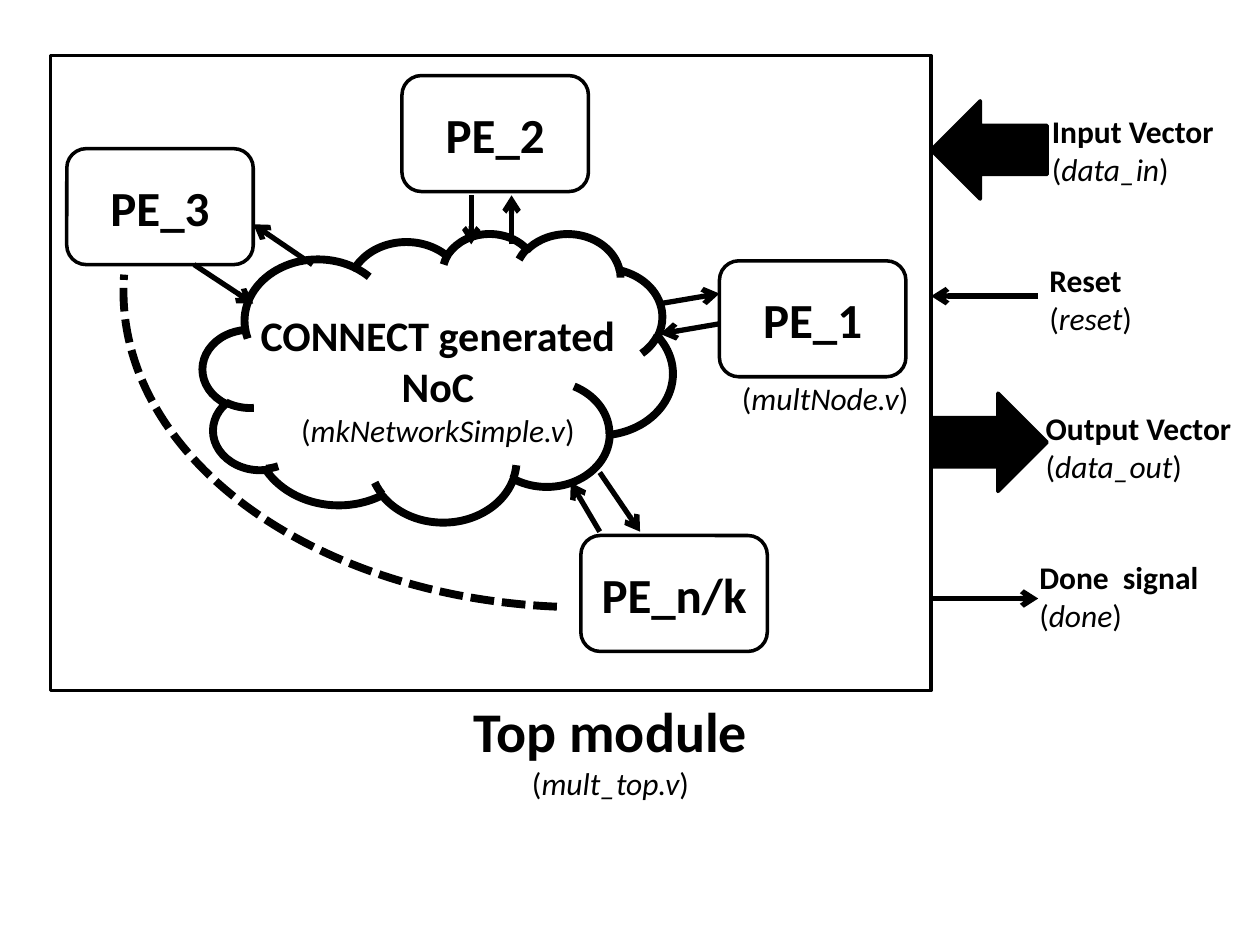
from dataclasses import dataclass

from lxml.etree import SubElement
from pptx import Presentation
from pptx.dml.color import RGBColor
from pptx.enum.dml import MSO_LINE
from pptx.enum.shapes import MSO_CONNECTOR, MSO_SHAPE
from pptx.enum.text import MSO_ANCHOR, MSO_AUTO_SIZE, PP_ALIGN
from pptx.oxml.ns import qn
from pptx.util import Emu, Inches, Pt

COLORS = {"ink": "000000"}
INK = RGBColor.from_string(COLORS["ink"])
FONT = "Calibri"
CELL = Inches(1)  # the slide is a grid of 10 columns by 7.5 rows
COLUMNS, ROWS = 10, 7.5
FRAME_RIGHT = 7.39
PORT_RIGHT = 8.24
LABEL_TOP, LABEL_PITCH = 0.84, 1.18


@dataclass(frozen=True)
class Area:
    column: float
    row: float
    columns: float
    rows: float

    def lengths(self) -> list[Emu]:
        return [cells(n) for n in (self.column, self.row, self.columns, self.rows)]


@dataclass(frozen=True)
class Node:
    name: str
    column: float
    row: float


@dataclass(frozen=True)
class Arrow:
    start: tuple[float, float]
    end: tuple[float, float]


@dataclass(frozen=True)
class Label:
    titles: tuple[str, ...]
    file: str
    area: Area
    size: int = 18
    align: PP_ALIGN = PP_ALIGN.LEFT


@dataclass(frozen=True)
class Port:
    title: str
    signal: str
    column: float
    columns: float


NODES = [
    Node("PE_1", 5.71, 2.07),
    Node("PE_2", 3.19, 0.6),
    Node("PE_3", 0.53, 1.18),
    Node("PE_n/k", 4.61, 4.25),
]
PORTS = [
    Port("Input Vector", "data_in", 8.25, 1.5),
    Port("Reset", "reset", 8.23, 0.87),
    Port("Output Vector", "data_out", 8.2, 1.69),
    Port("Done  signal", "done", 8.15, 1.47),
]
PORT_ARROWS = [
    Arrow((PORT_RIGHT, 2.35), (FRAME_RIGHT, 2.35)),
    Arrow((FRAME_RIGHT, 4.75), (PORT_RIGHT, 4.75)),
]
NODE_ARROWS = [
    Arrow((5.24, 2.41), (5.71, 2.33)),
    Arrow((5.71, 2.57), (5.24, 2.65)),
    Arrow((3.74, 1.55), (3.74, 1.94)),
    Arrow((4.06, 1.94), (4.06, 1.55)),
    Arrow((1.54, 2.1), (2.01, 2.41)),
    Arrow((2.48, 2.1), (2.01, 1.78)),
    Arrow((4.76, 4.22), (4.53, 3.83)),
    Arrow((4.76, 3.75), (5.08, 4.22)),
]
LABELS = [
    *(
        Label((port.title,), port.signal,
              Area(port.column, LABEL_TOP + i * LABEL_PITCH, port.columns, 0.71))
        for i, port in enumerate(PORTS)
    ),
    Label(("Top module",), "mult_top.v", Area(3.65, 5.48, 2.39, 0.94), 32, PP_ALIGN.CENTER),
    Label((), "multNode.v", Area(5.79, 2.96, 1.56, 0.4)),
    Label(("CONNECT generated", "NoC"), "mkNetworkSimple.v",
          Area(1.95, 2.41, 3.05, 1.21), 24, PP_ALIGN.CENTER),
]


def cells(count: float) -> Emu:
    return Emu(round(count * CELL))


def add_span(para, text: str, size: int, bold: bool = False, italic: bool = False) -> None:
    span = para.add_run()
    span.text = text
    font = span.font
    font.name, font.size, font.bold, font.italic = FONT, Pt(size), bold, italic
    font.color.rgb = INK


def add_outline(page, kind: MSO_SHAPE, area: Area, width: float = 2, filled: bool = False):
    shape = page.shapes.add_shape(kind, *area.lengths())
    shape.shadow.inherit = False
    if filled:
        shape.fill.solid()
        shape.fill.fore_color.rgb = INK
    else:
        shape.fill.background()
    shape.line.color.rgb = INK
    shape.line.width = Pt(width)
    return shape


def flip(shape, *directions: str) -> None:
    for direction in directions:
        shape.element.spPr.find(qn("a:xfrm")).set(direction, "1")


def add_node(page, node: Node) -> None:
    box = add_outline(page, MSO_SHAPE.ROUNDED_RECTANGLE, Area(node.column, node.row, 1.48, 0.92))
    box.text_frame.vertical_anchor = MSO_ANCHOR.MIDDLE
    para = box.text_frame.paragraphs[0]
    para.alignment = PP_ALIGN.CENTER
    add_span(para, node.name, 28, bold=True)


def add_arrow(page, arrow: Arrow) -> None:
    line = page.shapes.add_connector(
        MSO_CONNECTOR.STRAIGHT, *(cells(n) for n in arrow.start + arrow.end))
    line.line.color.rgb = INK
    line.line.width = Pt(3)
    properties = line.element.spPr
    SubElement(properties.find(qn("a:ln")), qn("a:tailEnd"), type="arrow")
    SubElement(properties, qn("a:effectLst"))


def add_label(page, label: Label) -> None:
    frame = page.shapes.add_textbox(*label.area.lengths()).text_frame
    frame.word_wrap = False
    frame.auto_size = MSO_AUTO_SIZE.SHAPE_TO_FIT_TEXT
    para = frame.paragraphs[0]
    para.alignment = label.align
    for title in label.titles:
        add_span(para, title, label.size, bold=True)
        para = frame.add_paragraph()
        para.alignment = label.align
    for text, italic in (("(", False), (label.file, True), (")", False)):
        add_span(para, text, 18, italic=italic)


deck = Presentation()
deck.slide_width, deck.slide_height = cells(COLUMNS), cells(ROWS)
page = deck.slides.add_slide(deck.slide_layouts[6])

# Network, processing elements and the module frame
add_outline(page, MSO_SHAPE.CLOUD, Area(1.61, 1.85, 3.73, 2.29), 4.5)
for node in NODES:
    add_node(page, node)
add_outline(page, MSO_SHAPE.RECTANGLE, Area(0.4, 0.44, 6.99, 5.04))

# Ports: wide arrows for vectors, thin arrows for signals
add_outline(page, MSO_SHAPE.RIGHT_ARROW, Area(FRAME_RIGHT, 3.12, 0.92, 0.78), filled=True)
input_arrow = add_outline(
    page, MSO_SHAPE.RIGHT_ARROW, Area(FRAME_RIGHT, 0.8, 0.92, 0.78), filled=True)
flip(input_arrow, "flipH")
for arrow in PORT_ARROWS:
    add_arrow(page, arrow)

# Dotted arc for the elements between PE_3 and PE_n/k
arc = add_outline(page, MSO_SHAPE.ARC, Area(0.98, -0.19, 7.32, 5.01), 4.5)
arc.adjustments[0], arc.adjustments[1] = 165.02, 1.27
arc.line.dash_style = MSO_LINE.ROUND_DOT
arc.line.dash_style = MSO_LINE.SQUARE_DOT
flip(arc, "flipH", "flipV")

# Links between elements and network, then all captions
for arrow in NODE_ARROWS:
    add_arrow(page, arrow)
for label in LABELS:
    add_label(page, label)

deck.save("out.pptx")
